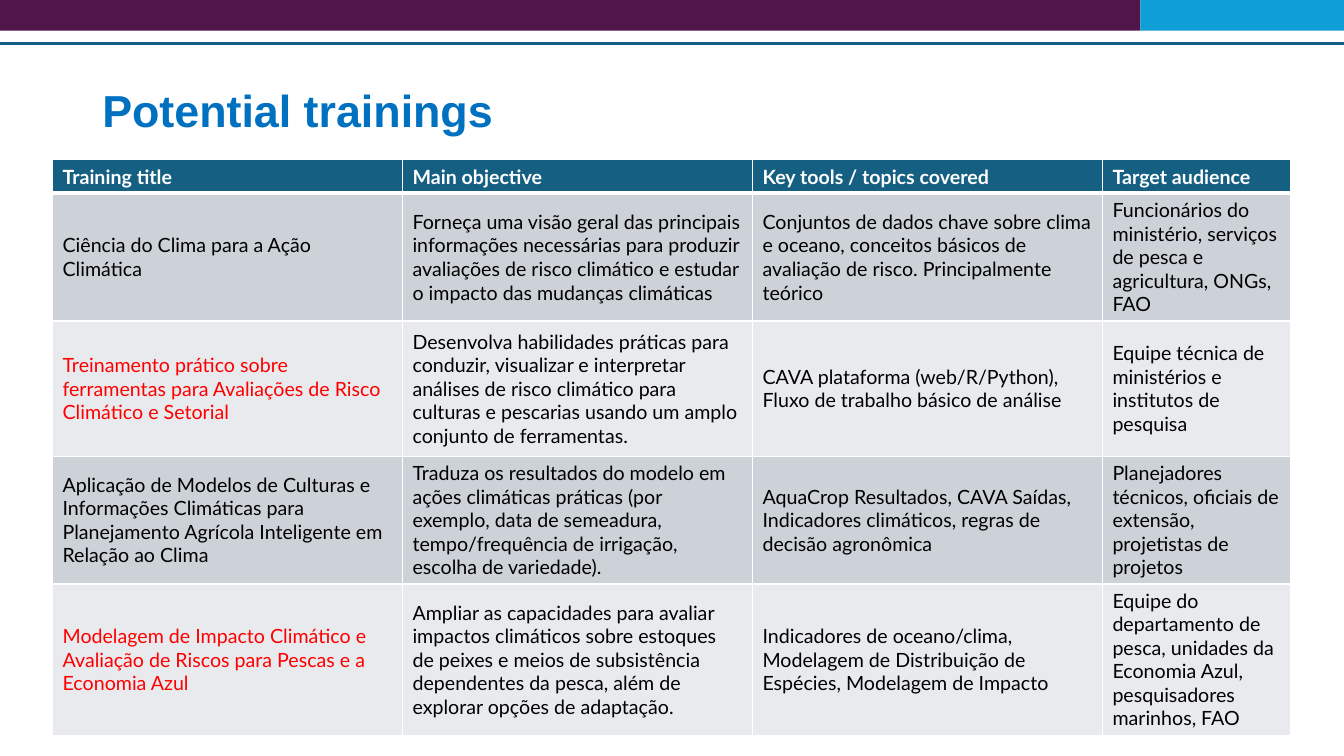
from lxml import etree
from pptx import Presentation
from pptx.dml.color import RGBColor
from pptx.enum.shapes import MSO_CONNECTOR as CONN, MSO_SHAPE as SHAPE
from pptx.enum.text import MSO_ANCHOR as ANCHOR
from pptx.oxml.ns import qn
from pptx.util import Pt

HEADERS = ["Training title", "Main objective", "Key tools / topics covered", "Target audience"]
TRAININGS = [
    ["Ciência do Clima para a Ação Climática",
     "Forneça uma visão geral das principais informações necessárias para produzir "
     "avaliações de risco climático e estudar o impacto das mudanças climáticas",
     "Conjuntos de dados chave sobre clima e oceano, conceitos básicos de avaliação "
     "de risco. Principalmente teórico",
     "Funcionários do ministério, serviços de pesca e agricultura, ONGs, FAO"],
    ["Treinamento prático sobre ferramentas para Avaliações de Risco Climático e Setorial",
     "Desenvolva habilidades práticas para conduzir, visualizar e interpretar análises de "
     "risco climático para culturas e pescarias usando um amplo conjunto de ferramentas.",
     "CAVA plataforma (web/R/Python), Fluxo de trabalho básico de análise",
     "Equipe técnica de ministérios e institutos de pesquisa"],
    ["Aplicação de Modelos de Culturas e Informações Climáticas para Planejamento "
     "Agrícola Inteligente em Relação ao Clima",
     "Traduza os resultados do modelo em ações climáticas práticas (por exemplo, data de "
     "semeadura, tempo/frequência de irrigação, escolha de variedade).",
     "AquaCrop Resultados, CAVA Saídas, Indicadores climáticos, regras de decisão agronômica",
     "Planejadores técnicos, oficiais de extensão, projetistas de projetos"],
    ["Modelagem de Impacto Climático e Avaliação de Riscos para Pescas e a Economia Azul",
     "Ampliar as capacidades para avaliar impactos climáticos sobre estoques de peixes e "
     "meios de subsistência dependentes da pesca, além de explorar opções de adaptação.",
     "Indicadores de oceano/clima, Modelagem de Distribuição de Espécies, Modelagem de Impacto",
     "Equipe do departamento de pesca, unidades da Economia Azul, pesquisadores marinhos, FAO"],
]
COL_WIDTHS = [250, 250, 250, 134.5]
ROW_HEIGHTS = [24, 90, 96.5, 91, 108]


def rgb(color):
    """Turn a hex string into a colour."""
    return RGBColor.from_string(color)


def set_font(p, name, size, color, bold):
    """Set the font of a whole paragraph."""
    f = p.font
    f.name, f.size, f.bold = name, Pt(size), bold
    f.color.rgb = rgb(color)


def set_borders(cell, color, bottom):
    """Draw thin lines round a cell, with its own bottom width."""
    tc_pr = cell._tc.get_or_add_tcPr()
    widths = {"a:lnL": 1, "a:lnR": 1, "a:lnT": 1, "a:lnB": bottom}
    for i, (tag, width) in enumerate(widths.items()):
        ln = etree.Element(qn(tag), w=str(Pt(width)))
        fill = etree.SubElement(ln, qn("a:solidFill"))
        etree.SubElement(fill, qn("a:srgbClr"), val=color)
        tc_pr.insert(i, ln)


def add_banner(s, x, y, w, h):
    """Draw the two-colour band and the rule below it."""
    split = 816
    shapes = s.shapes.add_group_shape().shapes
    for left, width, color in [(x, split, "501649"), (x + split, w - split, "0F9ED5")]:
        sp = shapes.add_shape(SHAPE.RECTANGLE, Pt(left), Pt(y), Pt(width), Pt(h))
        sp.shadow.inherit = False
        sp.fill.solid()
        sp.fill.fore_color.rgb = rgb(color)
        sp.line.fill.background()
    rule_y = Pt(y + h + 9)
    rule = s.shapes.add_connector(CONN.STRAIGHT, Pt(x), rule_y, Pt(960), rule_y)
    rule.line.color.rgb = rgb("156082")
    rule.line.width = Pt(2.25)
    etree.SubElement(rule._element.spPr, qn("a:effectLst"))


def add_title(s, text, x, y, w, h):
    """Write the slide title, centred vertically in its box."""
    tf = s.shapes.add_textbox(Pt(x), Pt(y), Pt(w), Pt(h)).text_frame
    tf.word_wrap = True
    tf.vertical_anchor = ANCHOR.MIDDLE
    p = tf.paragraphs[0]
    p.text = text
    p.line_spacing = 0.9
    set_font(p, "Arial", 32, "0070C0", True)


def add_trainings(s, x, y, w, h):
    """Build the table of trainings, with banded rows and red titles on even ones."""
    rows = [HEADERS] + TRAININGS
    table = s.shapes.add_table(len(rows), len(HEADERS), Pt(x), Pt(y), Pt(w), Pt(h)).table
    for col, width in zip(table.columns, COL_WIDTHS):
        col.width = Pt(width)
    for i, texts in enumerate(rows):
        table.rows[i].height = Pt(ROW_HEIGHTS[i])
        header, even = i == 0, i % 2 == 0
        fill = "156082" if header else "E8EAED" if even else "CCD2D8"
        for j, text in enumerate(texts):
            cell = table.cell(i, j)
            cell.text = text
            cell.vertical_anchor = ANCHOR.MIDDLE
            cell.fill.solid()
            cell.fill.fore_color.rgb = rgb(fill)
            color = "FFFFFF" if header else "FF0000" if even and j == 0 else "000000"
            set_font(cell.text_frame.paragraphs[0], "Lato", 14, color, header)
            set_borders(cell, "FFFFFF", 3 if i < 1 else 1)
            if i == 1:
                cell._tc.tcPr.find(qn("a:lnT")).set("w", str(Pt(3)))


def main():
    """Build the slide and save it."""
    prs = Presentation()
    prs.slide_width, prs.slide_height = Pt(960), Pt(540)
    s = prs.slides.add_slide(prs.slide_layouts[6])
    add_title(s, "Potential trainings", 66, 29, 873, 104)
    add_banner(s, -1.5, -3, 975.5, 25)
    add_trainings(s, 37.5, 114, sum(COL_WIDTHS), sum(ROW_HEIGHTS))
    prs.save("out.pptx")


if __name__ == "__main__":
    main()
